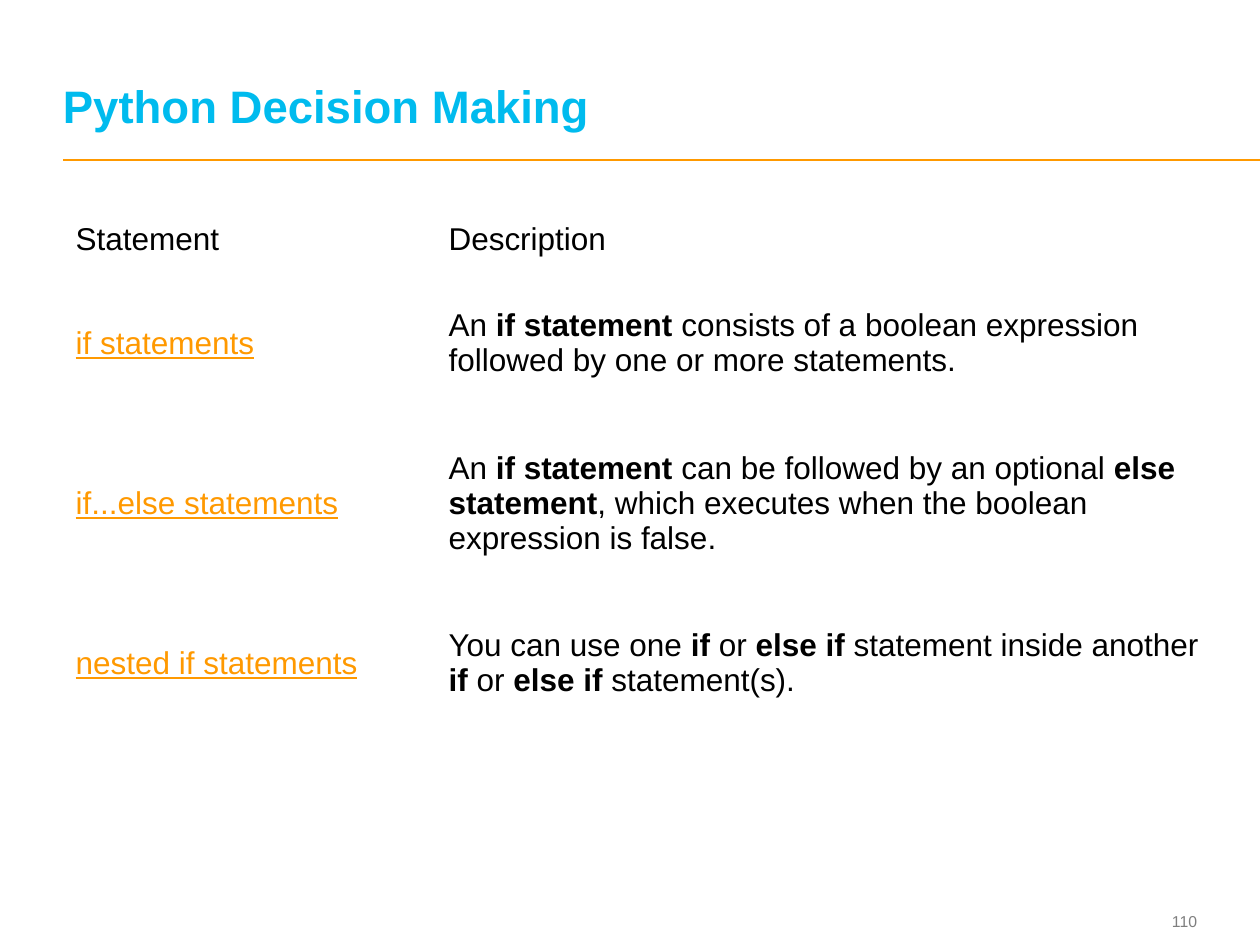
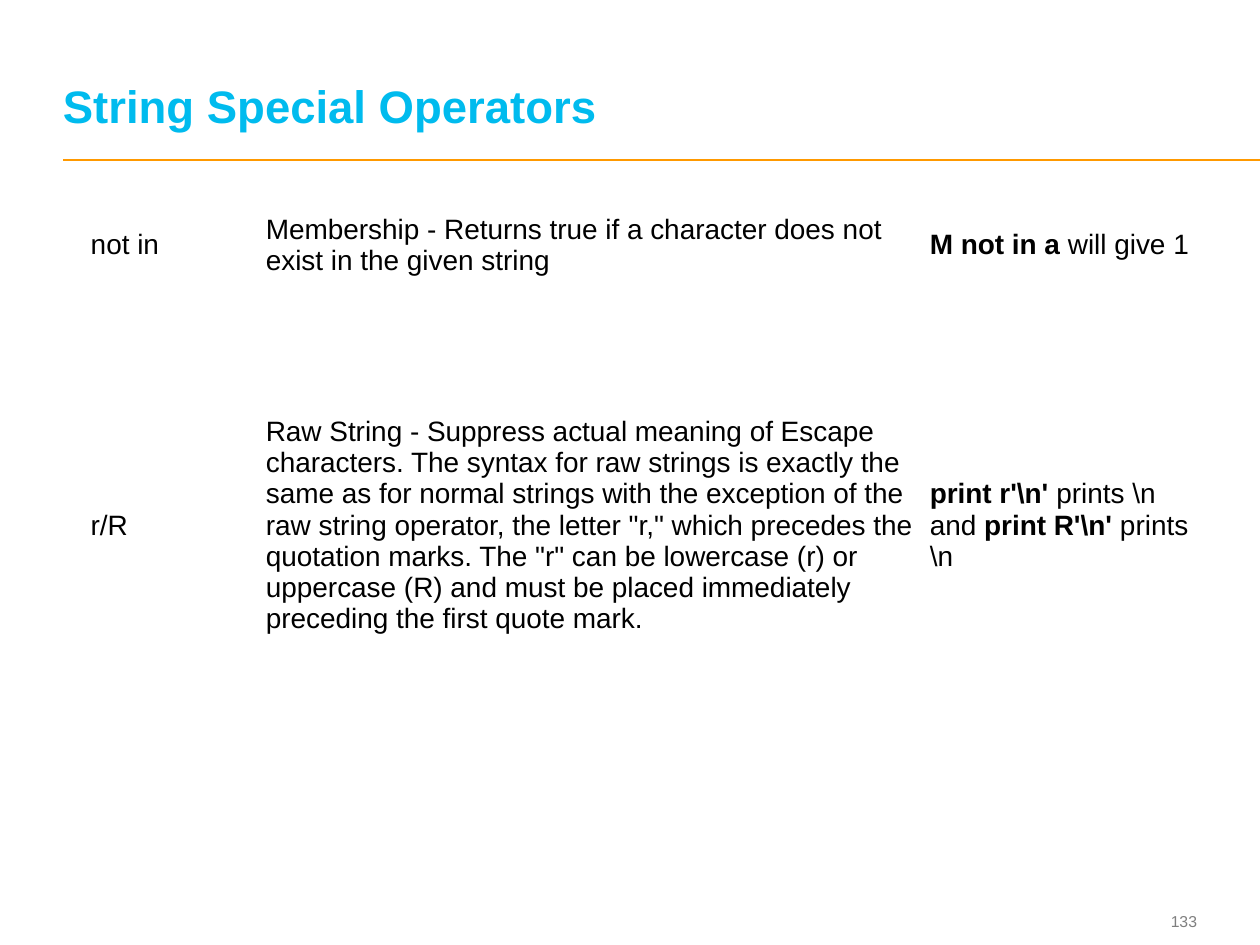
from dataclasses import dataclass

from pptx import Presentation
from pptx.dml.color import RGBColor
from pptx.enum.shapes import MSO_CONNECTOR
from pptx.enum.text import MSO_ANCHOR, PP_ALIGN
from pptx.oxml.ns import qn
from pptx.util import Emu, Inches, Pt

STRAIGHT = MSO_CONNECTOR.STRAIGHT
MIDDLE, BOTTOM = MSO_ANCHOR.MIDDLE, MSO_ANCHOR.BOTTOM
LEFT, RIGHT = PP_ALIGN.LEFT, PP_ALIGN.RIGHT

# The page is a grid of 100 columns by 75 rows
SLIDE_WIDTH, SLIDE_HEIGHT = Inches(10), Inches(7.5)
GRID_COLUMNS, GRID_ROWS = 100, 75
BOLD_MARK = "**"


@dataclass(frozen=True)
class Theme:
    font: str = "Arial"
    title: RGBColor = RGBColor(0x00, 0xBB, 0xEE)
    accent: RGBColor = RGBColor(0xFF, 0x99, 0x00)
    body: RGBColor = RGBColor(0x00, 0x00, 0x00)
    footer: RGBColor = RGBColor(0x7F, 0x7F, 0x7F)
    title_size: int = 26
    footer_size: int = 9
    rule_width: int = 1


@dataclass(frozen=True)
class Area:
    left: float
    top: float
    width: float
    height: float


@dataclass(frozen=True)
class TableSpec:
    left: float
    top: float
    column_widths: tuple[float, ...]
    row_heights: tuple[float, ...]
    text_size: int
    margin_x: float
    margin_y: float
    cells: tuple[tuple[str, ...], ...]
    linked_first_column: bool = False


@dataclass(frozen=True)
class PageSpec:
    title: str
    number: int
    table: TableSpec


THEME = Theme()
TITLE_AREA = Area(5, 1.9, 89.7, 8.6)
NUMBER_AREA = Area(89.1, 71.8, 5.9, 2.7)
RULE_LEFT, RULE_TOP = 5, 12.7

# Text between double asterisks is bold
PAGES = (
    PageSpec("Python Decision Making", 110, TableSpec(
        5, 16, (29.6, 63.2), (6, 10.5, 14.9, 10.5), 18, 1, 0.5,
        (
            ("Statement", "Description"),
            ("if statements",
             "An **if statement** consists of a boolean expression "
             "followed by one or more statements."),
            ("if...else statements",
             "An **if statement** can be followed by an optional "
             "**else statement**, which executes when the boolean "
             "expression is false."),
            ("nested if statements",
             "You can use one **if** or **else if** statement inside "
             "another **if** or **else if** statement(s)."),
        ),
        linked_first_column=True)),
    PageSpec("String Special Operators", 133, TableSpec(
        6.7, 15.3, (13.9, 52.7, 23.2), (8.3, 36.2), 16, 0.5, 0.3,
        (
            ("not in",
             "Membership - Returns true if a character does not exist "
             "in the given string",
             "**M not in a** will give 1"),
            ("r/R",
             "Raw String - Suppress actual meaning of Escape characters. "
             "The syntax for raw strings is exactly the same as for normal "
             "strings with the exception of the raw string operator, the "
             'letter "r," which precedes the quotation marks. The "r" can be '
             "lowercase (r) or uppercase (R) and must be placed immediately "
             "preceding the first quote mark.",
             r"**print r'\n'** prints \n and **print R'\n'** prints \n"),
        ))),
)


def across(columns: float) -> Emu:
    return Emu(round(SLIDE_WIDTH * columns / GRID_COLUMNS))


def down(rows: float) -> Emu:
    return Emu(round(SLIDE_HEIGHT * rows / GRID_ROWS))


def style_font(font, size: int, color: RGBColor, bold: bool = False) -> None:
    font.name = THEME.font
    font.size = Pt(size)
    font.color.rgb = color
    font.bold = bold


def add_label(page, area: Area, text: str, size: int, color: RGBColor,
              anchor=MIDDLE, align=LEFT, bold: bool = False):
    """Draw a one-line text box without margins and return its paragraph."""
    box = page.shapes.add_textbox(across(area.left), down(area.top),
                                  across(area.width), down(area.height))
    frame = box.text_frame
    frame.word_wrap = True
    frame.vertical_anchor = anchor
    frame.margin_left = frame.margin_right = 0
    frame.margin_top = frame.margin_bottom = 0
    frame.text = text
    para = frame.paragraphs[0]
    para.alignment = align
    style_font(para.runs[0].font, size, color, bold)
    return para


def add_rule(page) -> None:
    rule = page.shapes.add_connector(STRAIGHT, across(RULE_LEFT), down(RULE_TOP),
                                     SLIDE_WIDTH, down(RULE_TOP))
    rule.line.color.rgb = THEME.accent
    rule.line.width = Pt(THEME.rule_width)
    properties = rule._element.spPr
    properties.append(properties.makeelement(qn("a:effectLst"), {}))


def fill_cell(cell, text: str, spec: TableSpec, linked: bool) -> None:
    cell.fill.background()
    cell.vertical_anchor = MIDDLE
    cell.margin_left = cell.margin_right = across(spec.margin_x)
    cell.margin_top = cell.margin_bottom = down(spec.margin_y)
    para = cell.text_frame.paragraphs[0]
    for index, part in enumerate(text.split(BOLD_MARK)):
        if part:
            span = para.add_run()
            span.text = part
            style_font(span.font, spec.text_size,
                       THEME.accent if linked else THEME.body, index % 2 == 1)
            span.font.underline = linked


def add_plain_table(page, spec: TableSpec) -> None:
    table = page.shapes.add_table(
        len(spec.row_heights), len(spec.column_widths),
        across(spec.left), down(spec.top),
        across(sum(spec.column_widths)), down(sum(spec.row_heights))).table
    table.first_row = table.horz_banding = False
    for column, width in zip(table.columns, spec.column_widths):
        column.width = across(width)
    for row, height in zip(table.rows, spec.row_heights):
        row.height = down(height)
    for row_index, texts in enumerate(spec.cells):
        for column_index, text in enumerate(texts):
            linked = (spec.linked_first_column
                      and column_index == 0 and row_index > 0)
            fill_cell(table.cell(row_index, column_index), text, spec, linked)


def add_page(deck, spec: PageSpec) -> None:
    page = deck.slides.add_slide(deck.slide_layouts[6])
    # Shared frame: rule, page number and title
    add_rule(page)
    add_label(page, NUMBER_AREA, str(spec.number), THEME.footer_size,
              THEME.footer, align=RIGHT)
    title = add_label(page, TITLE_AREA, spec.title, THEME.title_size,
                      THEME.title, anchor=BOTTOM, bold=True)
    title.line_spacing = Pt(THEME.title_size)
    # Content
    add_plain_table(page, spec.table)


def main() -> None:
    deck = Presentation()
    deck.slide_width, deck.slide_height = SLIDE_WIDTH, SLIDE_HEIGHT
    for spec in PAGES:
        add_page(deck, spec)
    deck.save("out.pptx")


if __name__ == "__main__":
    main()
